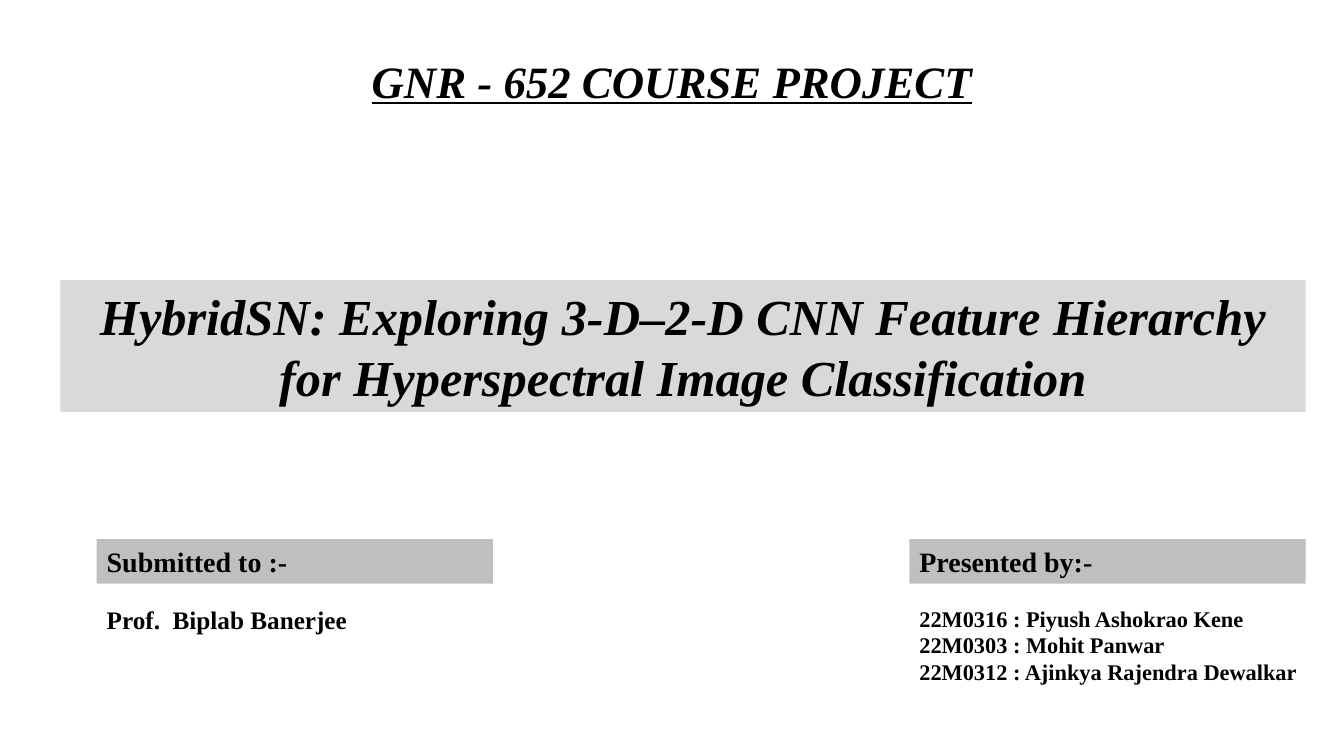
from pptx import Presentation
from pptx.dml.color import RGBColor
from pptx.enum.text import MSO_ANCHOR, MSO_AUTO_SIZE, PP_ALIGN
from pptx.util import Inches, Pt

BLACK = RGBColor(0x00, 0x00, 0x00)
WHITE = RGBColor(0xFF, 0xFF, 0xFF)
LIGHT_GRAY = RGBColor(0xD9, 0xD9, 0xD9)
MID_GRAY = RGBColor(0xBF, 0xBF, 0xBF)

LEFT_COLUMN, RIGHT_COLUMN = 0.96, 9.02
LABEL_TOP, NAMES_TOP = 5.35, 5.95


def write_box(shape, box, lines, size, fill=None, align=PP_ALIGN.LEFT, **font_style):
    """Place a shape and fill it with bold lines, one paragraph each."""
    shape.left, shape.top, shape.width, shape.height = map(Inches, box)
    if fill is not None:
        shape.fill.solid()
        shape.fill.fore_color.rgb = fill
    frame = shape.text_frame
    frame.text = "\n".join(lines)
    frame.word_wrap = True
    frame.auto_size = MSO_AUTO_SIZE.SHAPE_TO_FIT_TEXT
    frame.vertical_anchor = MSO_ANCHOR.TOP
    font_values = {"name": "Times New Roman", "size": Pt(size), "bold": True, **font_style}
    for paragraph in frame.paragraphs:
        paragraph.alignment = align
        font = paragraph.runs[0].font
        font.color.rgb = BLACK
        for attribute, value in font_values.items():
            setattr(font, attribute, value)


presentation = Presentation()
presentation.slide_width = Inches(13.33)
presentation.slide_height = Inches(7.5)
slide = presentation.slides.add_slide(presentation.slide_layouts[5])

write_box(slide.shapes.title, (2.97, 0.48, 7.39, 0.64), ["GNR - 652 COURSE PROJECT"],
          32, WHITE, PP_ALIGN.CENTER, italic=True, underline=True)

topic = slide.shapes.add_textbox(0, 0, 0, 0)
write_box(topic, (0.6, 2.78, 12.35, 1.31),
          ["HybridSN: Exploring 3-D–2-D CNN Feature Hierarchy for Hyperspectral Image Classification"],
          36, LIGHT_GRAY, PP_ALIGN.CENTER, italic=True)

students = [
    "22M0316 : Piyush Ashokrao Kene",
    "22M0303 : Mohit Panwar",
    "22M0312 : Ajinkya Rajendra Dewalkar",
]
columns = [
    (RIGHT_COLUMN, "Presented by:-", students, 16, 4.02, 0.91),
    (LEFT_COLUMN, "Submitted to :-", ["Prof.  Biplab Banerjee"], 18, 3.49, 0.4),
]
for left, label, names, size, width, height in columns:
    label_box = slide.shapes.add_textbox(0, 0, 0, 0)
    write_box(label_box, (left, LABEL_TOP, 3.93, 0.44), [label], 20, MID_GRAY)
    names_box = slide.shapes.add_textbox(0, 0, 0, 0)
    write_box(names_box, (left, NAMES_TOP, width, height), names, size)

presentation.save("out.pptx")
